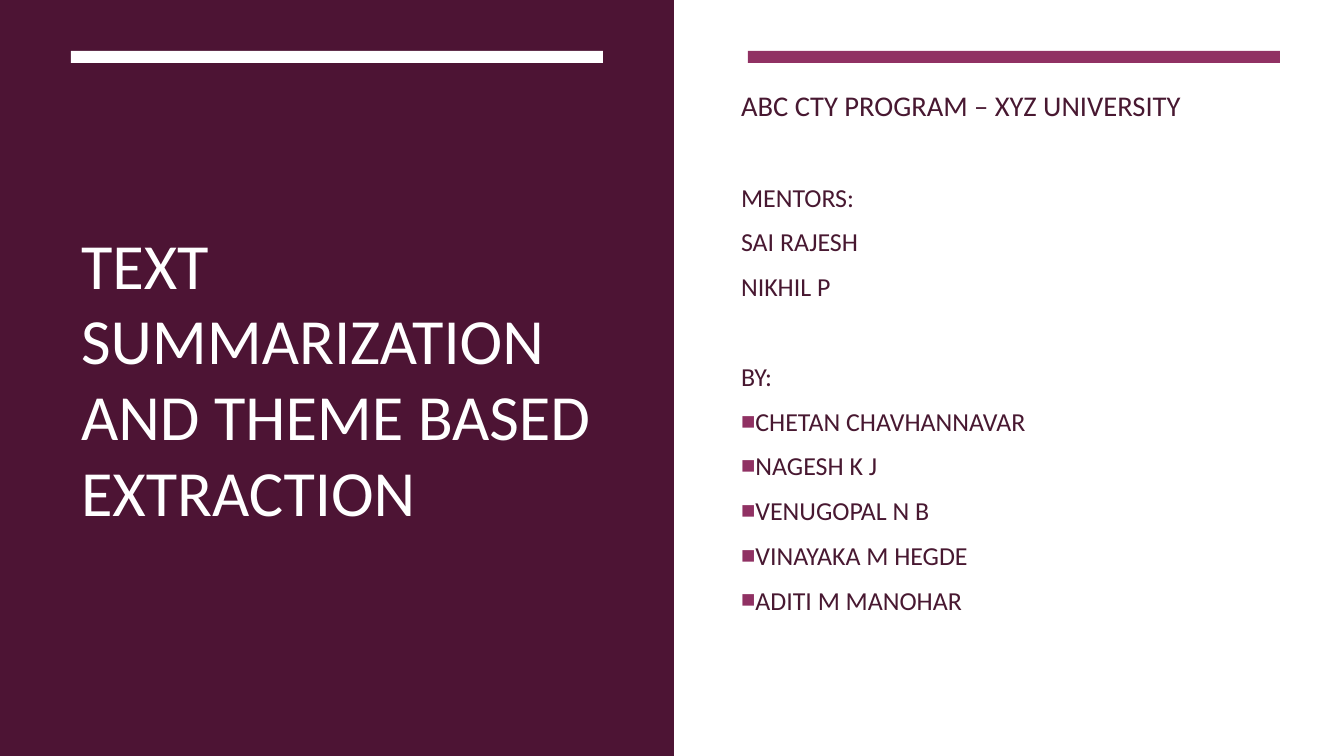
"""Build the title slide for a text summarization project."""
from lxml.etree import SubElement
from pptx import Presentation
from pptx.dml.color import RGBColor
from pptx.enum.shapes import MSO_SHAPE as SHAPE
from pptx.enum.text import MSO_ANCHOR as ANCHOR, MSO_AUTO_SIZE as AUTO_SIZE, PP_ALIGN as ALIGN
from pptx.oxml.ns import qn
from pptx.util import Pt

PIXEL = 914400 / 100.8
WHITE, PLUM, MAGENTA, INK = "FFFFFF", "4D1434", "903163", "481831"


def colour(value):
    return RGBColor.from_string(value)


def add_span(para, text, size, value):
    span = para.add_run()
    span.text = text
    span.font.name = "Calibri"
    span.font.size = Pt(size)
    span.font.color.rgb = colour(value)
    para.alignment = ALIGN.LEFT


deck = Presentation()
deck.slide_width, deck.slide_height = round(1344 * PIXEL), round(756 * PIXEL)
page = deck.slides.add_slide(deck.slide_layouts[0])
title, credits = page.placeholders

panels = [
    (0, 0, 1344, 756, WHITE),
    (0, 0, 674, 756, PLUM),
    (71, 51, 532, 12, WHITE),
    (748, 51, 532, 12, MAGENTA),
]
for *bounds, fill in panels:
    panel = page.shapes.add_shape(SHAPE.RECTANGLE, *(round(n * PIXEL) for n in bounds))
    panel.shadow.inherit = False
    panel.fill.solid()
    panel.fill.fore_color.rgb = colour(fill)
    panel.line.fill.background()

texts = [
    (title, (71, 114, 532, 532), ANCHOR.MIDDLE),
    (credits, (731, 83, 549, 563), ANCHOR.TOP),
]
for box, bounds, anchor in texts:
    box.left, box.top, box.width, box.height = (round(n * PIXEL) for n in bounds)
    box.text_frame.word_wrap = True
    box.text_frame.auto_size = AUTO_SIZE.NONE
    box.text_frame.vertical_anchor = anchor
    box.element.getparent().append(box.element)

heading = title.text_frame.paragraphs[0]
heading.line_spacing = 0.98
add_span(heading, "TEXT SUMMARIZATION AND THEME BASED EXTRACTION", 46, WHITE)

groups = [
    (20.4, 0, False, ["ABC CTY PROGRAM – XYZ UNIVERSITY"]),
    (18.5, 36, False, ["MENTORS:", "SAI RAJESH", "NIKHIL P"]),
    (18.5, 36, False, ["BY:"]),
    (18.5, 3.7, True, ["CHETAN CHAVHANNAVAR", "NAGESH K J", "VENUGOPAL N B",
                       "VINAYAKA M HEGDE", "ADITI M MANOHAR"]),
]
para = credits.text_frame.paragraphs[0]
for size, gap, bulleted, lines in groups:
    for index, line in enumerate(lines):
        if para.runs:
            para = credits.text_frame.add_paragraph()
        para.space_before = Pt(3.7 if index else gap)
        para.space_after = Pt(6)
        add_span(para, line, size, INK)
        if bulleted:
            props = para._p.get_or_add_pPr()
            props.set("marL", str(round(14 * PIXEL)))
            props.set("indent", str(round(-14 * PIXEL)))
            tint = SubElement(props, qn("a:buClr"))
            SubElement(tint, qn("a:srgbClr"), val=MAGENTA)
            SubElement(props, qn("a:buSzPct"), val="92000")
            SubElement(props, qn("a:buChar"), char="■")

deck.save("out.pptx")
